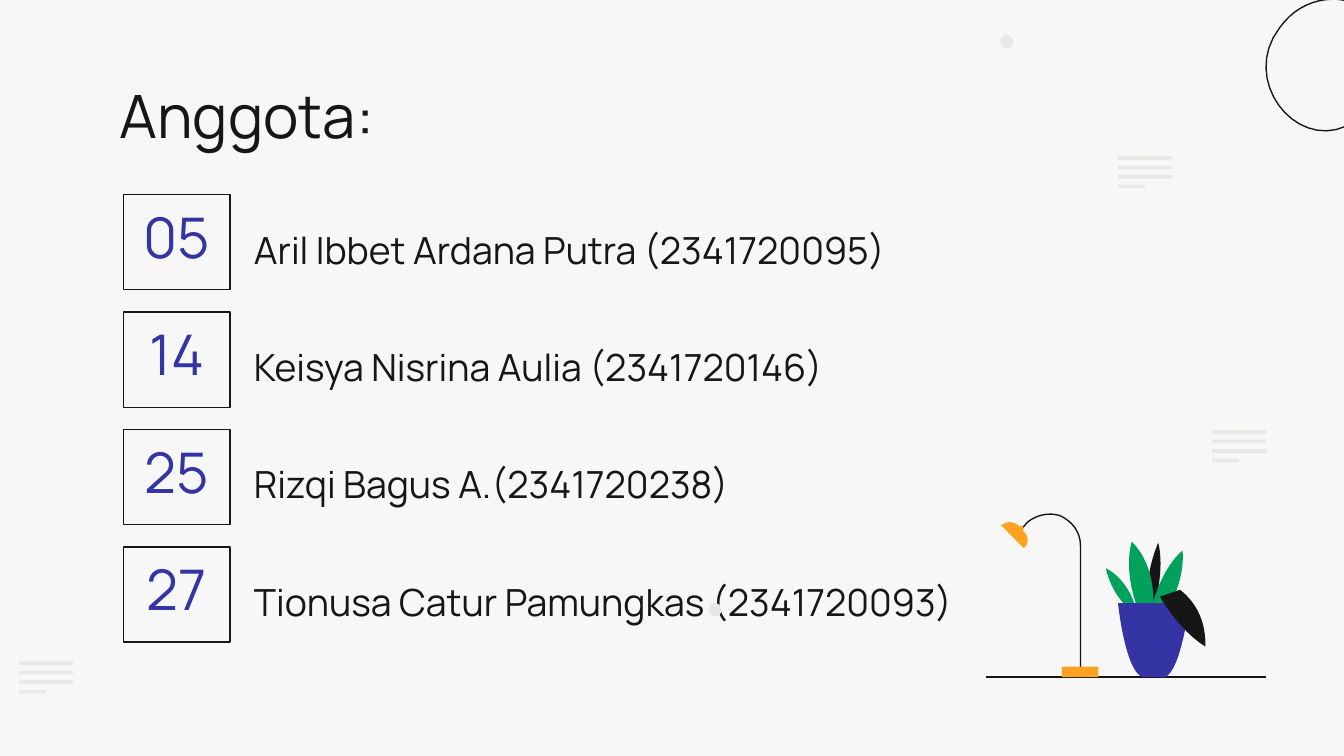
import pptx
import pptx.dml.color
import pptx.enum.shapes
import pptx.enum.text
import pptx.oxml.ns
import pptx.util
from lxml import etree

Cm, Pt = pptx.util.Cm, pptx.util.Pt
SHAPES = pptx.enum.shapes.MSO_SHAPE
ALIGN = pptx.enum.text.PP_ALIGN
ANCHOR = pptx.enum.text.MSO_ANCHOR

COLORS = {"paper": "F7F7F7", "ink": "161616", "indigo": "3434A4",
          "pale": "E7E9E4", "green": "00A15B", "orange": "FFA221"}
FONT = "Manrope"

HEADING = "Anggota:"
MEMBERS = [
    ("05", "Aril Ibbet Ardana Putra (2341720095)"),
    ("14", "Keisya Nisrina Aulia (2341720146)"),
    ("25", "Rizqi Bagus A.(2341720238)"),
    ("27", "Tionusa Catur Pamungkas (2341720093)"),
]

# All positions are in centimetres.
FIRST_ROW, ROW_PITCH = 3.68, 2.22
BAR_GROUPS = [(0.36, 12.5), (22.91, 8.13), (21.13, 2.95)]
BAR_WIDTHS = [1.02, 1.02, 1.02, 0.51]
BAR_HEIGHT, BAR_PITCH = 0.07, 0.18
DOTS = [(18.9, 0.66), (13.39, 11.4)]
DOT_SIZE = 0.25
FLOOR = (18.64, 23.93, 12.8)
LAMP_BASE = (20.07, 12.6, 0.69, 0.2)

# Each outline is a start point followed by segments: an end point, or curve
# controls and an end point (a single control means the first is the start).
RING = [(25.78, 0.18), (25.48, -0.1, 24.66, -0.15, 24.18, 0.53),
        (23.44, 1.5, 24.46, 2.82, 25.43, 2.39)]
LAMP_STEM = [(20.42, 12.8), (20.42, 10.31),
             (20.42, 10.06, 20.27, 9.86, 20.04, 9.75),
             (19.84, 9.68, 19.58, 9.73, 19.41, 9.88), (19.3, 10.01)]
PLANT = [
    ("ink", [(21.82, 11.48), (22.02, 10.74, 21.89, 10.26), (21.64, 10.8, 21.67, 11.48)]),
    ("green", [(22.02, 11.58), (22.4, 11.05, 22.35, 10.41), (21.95, 10.69, 21.74, 11.58)]),
    ("green", [(21.79, 11.53), (21.89, 10.74, 21.39, 10.24), (21.21, 10.74, 21.51, 11.53)]),
    ("green", [(21.46, 11.48), (21.34, 10.97, 20.9, 10.74), (20.98, 11.18, 21.31, 11.48)]),
    ("indigo", [(22.48, 11.4), (22.33, 12.67, 22.02, 12.8), (21.59, 12.8),
                (21.26, 12.67, 21.13, 11.4, 21.13, 11.4)]),
    ("ink", [(22.3, 11.15), (22.81, 11.48, 22.78, 12.22), (22.35, 11.99, 21.92, 11.28)]),
]
LAMPSHADE = [(19.28, 9.96), (19.3, 9.93), (19.35, 9.98), (19.33, 10.03),
             (19.53, 10.21, 19.35, 10.36, 19.35, 10.36), (18.92, 9.93),
             (19.1, 9.78, 19.28, 9.96)]


def rgb(name):
    return pptx.dml.color.RGBColor.from_string(COLORS[name])


def paint(shape, fill=None, line=None):
    shape.shadow.inherit = False
    if fill:
        shape.fill.solid()
        shape.fill.fore_color.rgb = rgb(fill)
    else:
        shape.fill.background()
    if line:
        shape.line.color.rgb = rgb(line)
        shape.line.width = Pt(0.75)
    else:
        shape.line.fill.background()


def add_preset(slide, kind, box, fill=None, line=None):
    shape = slide.shapes.add_shape(kind, *map(Cm, box))
    paint(shape, fill, line)
    return shape


def flatten(outline, steps=16):
    """Return the outline's points with its Bezier curves sampled."""
    points = [outline[0]]
    for segment in outline[1:]:
        if len(segment) == 2:
            points.append(segment)
            continue
        start = points[-1]
        values = (start if len(segment) == 4 else ()) + segment
        ends = [start] + [values[i:i + 2] for i in (0, 2, 4)]
        for step in range(1, steps + 1):
            t = step / steps
            weights = ((1 - t) ** 3, 3 * t * (1 - t) ** 2, 3 * t ** 2 * (1 - t), t ** 3)
            points.append(tuple(sum(w * p[axis] for w, p in zip(weights, ends))
                                for axis in (0, 1)))
    return points


def add_outline(slide, outline, fill=None, line=None):
    points = [(Cm(x), Cm(y)) for x, y in flatten(outline)]
    builder = slide.shapes.build_freeform(*points[0])
    builder.add_line_segments(points[1:], close=fill is not None)
    paint(builder.convert_to_shape(), fill, line)


def write(shape, text, size, color, align=ALIGN.LEFT, anchor=ANCHOR.TOP,
          bottom=0.25, spacing=1.15):
    frame = shape.text_frame
    frame.text = text
    frame.word_wrap = True
    frame.auto_size = pptx.enum.text.MSO_AUTO_SIZE.NONE
    frame.vertical_anchor = anchor
    frame.margin_left = frame.margin_right = frame.margin_top = Cm(0.25)
    frame.margin_bottom = Cm(bottom)
    paragraph = frame.paragraphs[0]
    paragraph.alignment = align
    paragraph.line_spacing = spacing
    font = paragraph.runs[0].font
    font.name, font.size = FONT, Pt(size)
    font.color.rgb = rgb(color)


def add_members(slide):
    for row, (number, name) in enumerate(MEMBERS):
        top = FIRST_ROW + row * ROW_PITCH
        badge = add_preset(slide, SHAPES.RECTANGLE, (2.34, top, 2.01, 1.8), line="ink")
        write(badge, number, 30, "indigo", ALIGN.CENTER, ANCHOR.BOTTOM, bottom=0.38)
        label = slide.shapes.add_textbox(Cm(4.55), Cm(top + 0.23), Cm(18.85), Cm(1.37))
        write(label, name, 20, "ink")


def add_decorations(slide):
    add_outline(slide, RING, line="ink")
    for x, y in DOTS:
        add_preset(slide, SHAPES.OVAL, (x, y, DOT_SIZE, DOT_SIZE), "pale")
    for x, y in BAR_GROUPS:
        for index, width in enumerate(BAR_WIDTHS):
            add_preset(slide, SHAPES.RECTANGLE,
                       (x, y + index * BAR_PITCH, width, BAR_HEIGHT), "pale")


def add_desk(slide):
    left, right, level = FLOOR
    floor = slide.shapes.add_connector(pptx.enum.shapes.MSO_CONNECTOR.STRAIGHT,
                                       Cm(left), Cm(level), Cm(right), Cm(level))
    floor.line.color.rgb = rgb("ink")
    floor.line.width = Pt(0.75)
    etree.SubElement(floor.element.spPr, pptx.oxml.ns.qn("a:effectLst"))
    for color, outline in PLANT:
        add_outline(slide, outline, fill=color)
    add_outline(slide, LAMP_STEM, line="ink")
    add_outline(slide, LAMPSHADE, fill="orange")
    add_preset(slide, SHAPES.RECTANGLE, LAMP_BASE, "orange")


def main():
    deck = pptx.Presentation()
    deck.slide_width, deck.slide_height = Cm(25.4), Cm(14.29)
    slide = deck.slides.add_slide(deck.slide_layouts[5])
    slide.background.fill.solid()
    slide.background.fill.fore_color.rgb = rgb("paper")

    heading = slide.shapes.title
    heading.left, heading.top, heading.width, heading.height = map(
        Cm, (2.01, 1.24, 21.41, 1.6))
    write(heading, HEADING, 32, "ink", spacing=1.0)

    add_members(slide)
    add_decorations(slide)
    add_desk(slide)
    deck.save("out.pptx")


if __name__ == "__main__":
    main()
